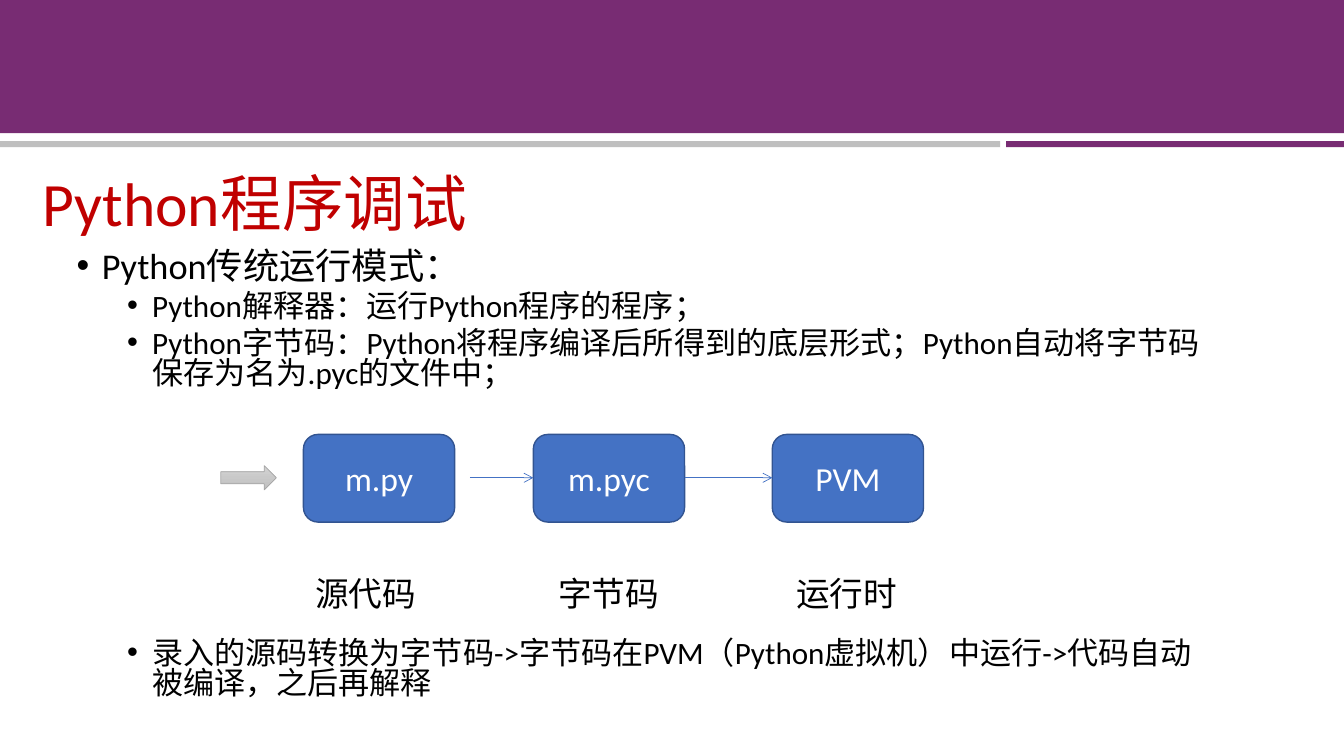
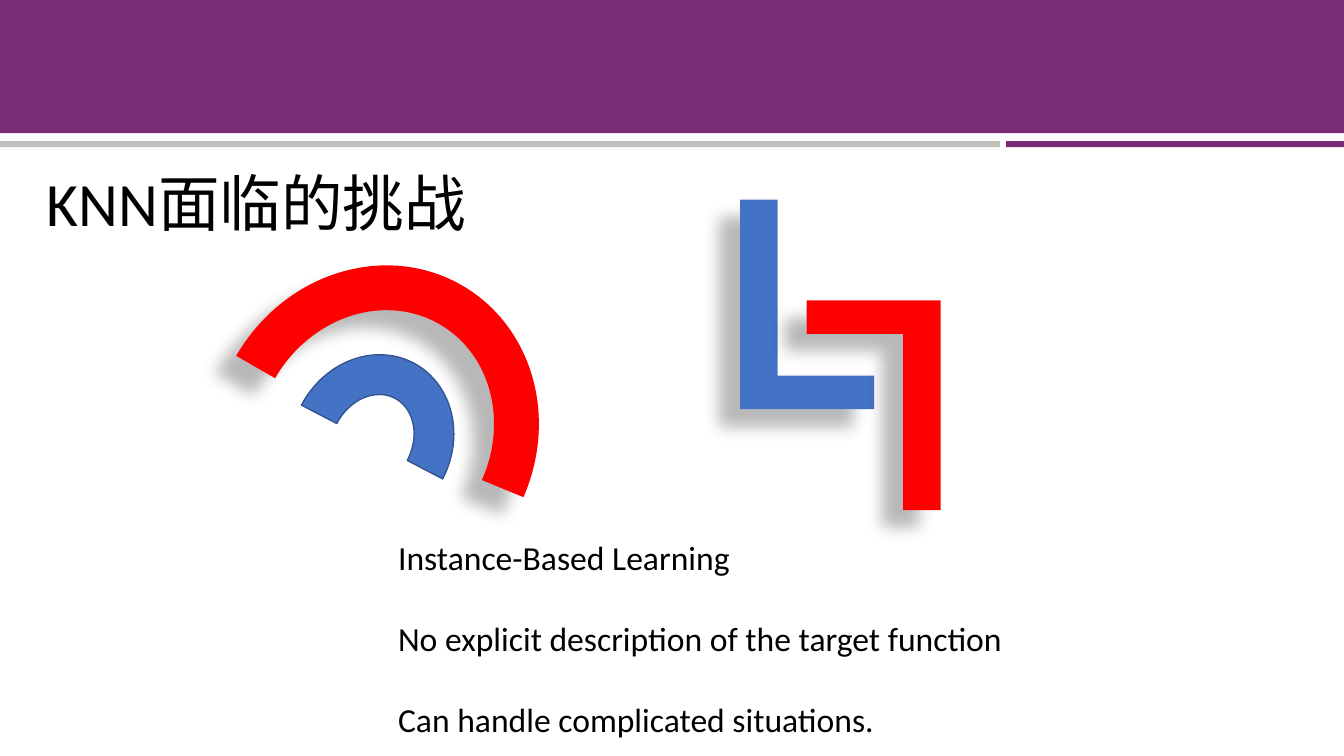
from lxml import etree
from pptx import Presentation
from pptx.dml.color import RGBColor
from pptx.enum import shapes, text
from pptx.oxml import ns
from pptx.util import Inches, Pt

COLORS = {
    "purple": "782C73",
    "gray": "BFBFBF",
    "blue": "4472C4",
    "outline": "325491",
    "red": "FF0000",
    "title_red": "C00000",
    "black": "000000",
    "white": "FFFFFF",
    "arrow_light": "D2D2D2",
    "arrow_dark": "C0C0C0",
    "arrow_line": "A5A5A5",
}
FONT = "Calibri"
SHAPE = shapes.MSO_SHAPE
LEVELS = [
    {"indent": 0.25, "size": 25.9, "before": 10},
    {"indent": 0.75, "size": 22.2, "before": 5},
]


def rgb(name):
    return RGBColor.from_string(COLORS[name])


def add_xml(parent, tag, **attributes):
    return etree.SubElement(parent, ns.qn(tag), attributes)


class Deck:
    """Hold the shared style and the current slide, and draw each kind of element."""

    def __init__(self):
        self.presentation = Presentation()
        self.presentation.slide_width = Inches(13.33)
        self.presentation.slide_height = Inches(7.5)
        self.slide = None

    def add_slide(self, layout, title, left, color):
        layouts = self.presentation.slide_layouts
        self.slide = self.presentation.slides.add_slide(layouts.get_by_name(layout))
        self.shape(SHAPE.RECTANGLE, (0, 0, 13.33, 1.32), "purple")
        self.shape(SHAPE.RECTANGLE, (0, 1.4, 9.92, 0.06), "gray")
        self.shape(SHAPE.RECTANGLE, (9.98, 1.4, 3.35, 0.06), "purple")
        shape = self.slide.shapes.title
        frame = self.place(shape, (left, 1.32, 11.5, 1.45))
        frame.vertical_anchor = text.MSO_ANCHOR.MIDDLE
        paragraph = frame.paragraphs[0]
        paragraph.alignment = text.PP_ALIGN.LEFT
        paragraph.line_spacing = 0.9
        self.run(paragraph, title, 44, color)

    def place(self, shape, box):
        shape.left, shape.top, shape.width, shape.height = map(Inches, box)
        frame = shape.text_frame
        frame.word_wrap = True
        frame.auto_size = text.MSO_AUTO_SIZE.NONE
        return frame

    def run(self, paragraph, words, size, color="black"):
        run = paragraph.add_run()
        run.text = words
        run.font.name = FONT
        run.font.size = Pt(size)
        run.font.color.rgb = rgb(color)

    def paragraphs(self, frame, count):
        return [frame.paragraphs[0]] + [frame.add_paragraph() for _ in range(count - 1)]

    def bullets(self, box, items):
        frame = self.place(self.slide.placeholders[1], box)
        paragraphs = self.paragraphs(frame, len(items))
        for paragraph, (level, words, gap) in zip(paragraphs, items):
            style = LEVELS[level]
            paragraph.level = level
            paragraph.line_spacing = 0.8
            paragraph.space_before = Pt(style["before"] + gap)
            properties = paragraph._p.get_or_add_pPr()
            properties.set("marL", str(Inches(style["indent"])))
            properties.set("indent", str(Inches(-0.25)))
            add_xml(properties, "a:buChar", char="•")
            self.run(paragraph, words, style["size"])

    def textbox(self, box, lines, gap=0):
        shape = self.slide.shapes.add_textbox(0, 0, 0, 0)
        frame = self.place(shape, box)
        paragraphs = self.paragraphs(frame, len(lines))
        for index, (paragraph, words) in enumerate(zip(paragraphs, lines)):
            paragraph.space_before = Pt(gap if index else 0)
            self.run(paragraph, words, 24)

    def shape(self, kind, box, fill, outline=None, width=1, rotation=0,
              adjustments=(), shadow=False):
        shape = self.slide.shapes.add_shape(kind, *map(Inches, box))
        shape.rotation = rotation
        for index, value in enumerate(adjustments):
            shape.adjustments[index] = value
        shape.fill.solid()
        shape.fill.fore_color.rgb = rgb(fill)
        if outline:
            shape.line.color.rgb = rgb(outline)
            shape.line.width = Pt(width)
        else:
            shape.line.fill.background()
        shape.shadow.inherit = False
        if shadow:
            self.cast_shadow(shape)
        return shape

    def cast_shadow(self, shape):
        effects = shape._element.spPr.find(ns.qn("a:effectLst"))
        outer = add_xml(effects, "a:outerShdw", blurRad=str(Pt(11.8)),
                        dist=str(Pt(19.7)), dir=str(141 * 60000), rotWithShape="0")
        color = add_xml(outer, "a:srgbClr", val=COLORS["black"])
        add_xml(color, "a:alpha", val="28000")

    def step(self, box, words):
        shape = self.shape(SHAPE.ROUNDED_RECTANGLE, box, "blue", "outline")
        shape.text_frame.vertical_anchor = text.MSO_ANCHOR.MIDDLE
        paragraph = shape.text_frame.paragraphs[0]
        paragraph.alignment = text.PP_ALIGN.CENTER
        self.run(paragraph, words, 24, "white")

    def block_arrow(self, box):
        shape = self.shape(SHAPE.RIGHT_ARROW, box, "arrow_light", "arrow_line", 0.5)
        shape.fill.gradient()
        shape.fill.gradient_angle = 270
        for stop, color in zip(shape.fill.gradient_stops, ("arrow_light", "arrow_dark")):
            stop.color.rgb = rgb(color)

    def arrow(self, start, end, y):
        connector = self.slide.shapes.add_connector(
            shapes.MSO_CONNECTOR.STRAIGHT, *map(Inches, (start, y, end, y)))
        connector.line.color.rgb = rgb("blue")
        connector.line.width = Pt(0.5)
        add_xml(connector.line._get_or_add_ln(), "a:tailEnd", type="arrow")
        add_xml(connector._element.spPr, "a:effectLst")


def draw_debugging(deck):
    deck.add_slide("Title and Content", "Python程序调试", 0.32, "title_red")
    deck.bullets((0.66, 2.45, 11.5, 4.76), [
        (0, "Python传统运行模式：", 0),
        (1, "Python解释器：运行Python程序的程序；", 0),
        (1, "Python字节码：Python将程序编译后所得到的底层形式；"
            "Python自动将字节码保存为名为.pyc的文件中；", 0),
        (1, "录入的源码转换为字节码->字节码在PVM（Python虚拟机）中运行->"
            "代码自动被编译，之后再解释", 174),
    ])
    steps = [
        (3.01, "m.py", 3.03, "源代码"),
        (5.29, "m.pyc", 5.44, "字节码"),
        (7.66, "PVM", 7.8, "运行时"),
    ]
    for left, name, label_left, label in steps:
        deck.step((left, 4.31, 1.5, 0.87), name)
        deck.textbox((label_left, 5.63, 1.5, 0.5), [label])
    deck.block_arrow((2.19, 4.62, 0.55, 0.24))
    deck.arrow(4.66, 5.29, 4.74)
    deck.arrow(6.79, 7.66, 4.74)


def draw_challenges(deck):
    deck.add_slide("Title Only", "KNN面临的挑战", 0.36, "black")
    deck.shape(SHAPE.BLOCK_ARC, (2.9, 3.5, 1.58, 1.77), "blue", "outline", rotation=27.6)
    for left, top, color, rotation in [(7.34, 1.98, "blue", 0), (8, 2.98, "red", 180)]:
        deck.shape(SHAPE.CORNER, (left, top, 1.33, 2.08), color, rotation=rotation,
                   adjustments=(0.25, 0.28), shadow=True)
    deck.textbox((3.85, 5.28, 6.5, 2.12), [
        "Instance-Based Learning",
        "No explicit description of the target function",
        "Can handle complicated situations.",
    ], gap=28.8)
    deck.shape(SHAPE.BLOCK_ARC, (2.13, 2.6, 3.18, 3.45), "red", rotation=30,
               adjustments=(108, 211.46, 0.14), shadow=True)


def main():
    deck = Deck()
    draw_debugging(deck)
    draw_challenges(deck)
    deck.presentation.save("out.pptx")


if __name__ == "__main__":
    main()
